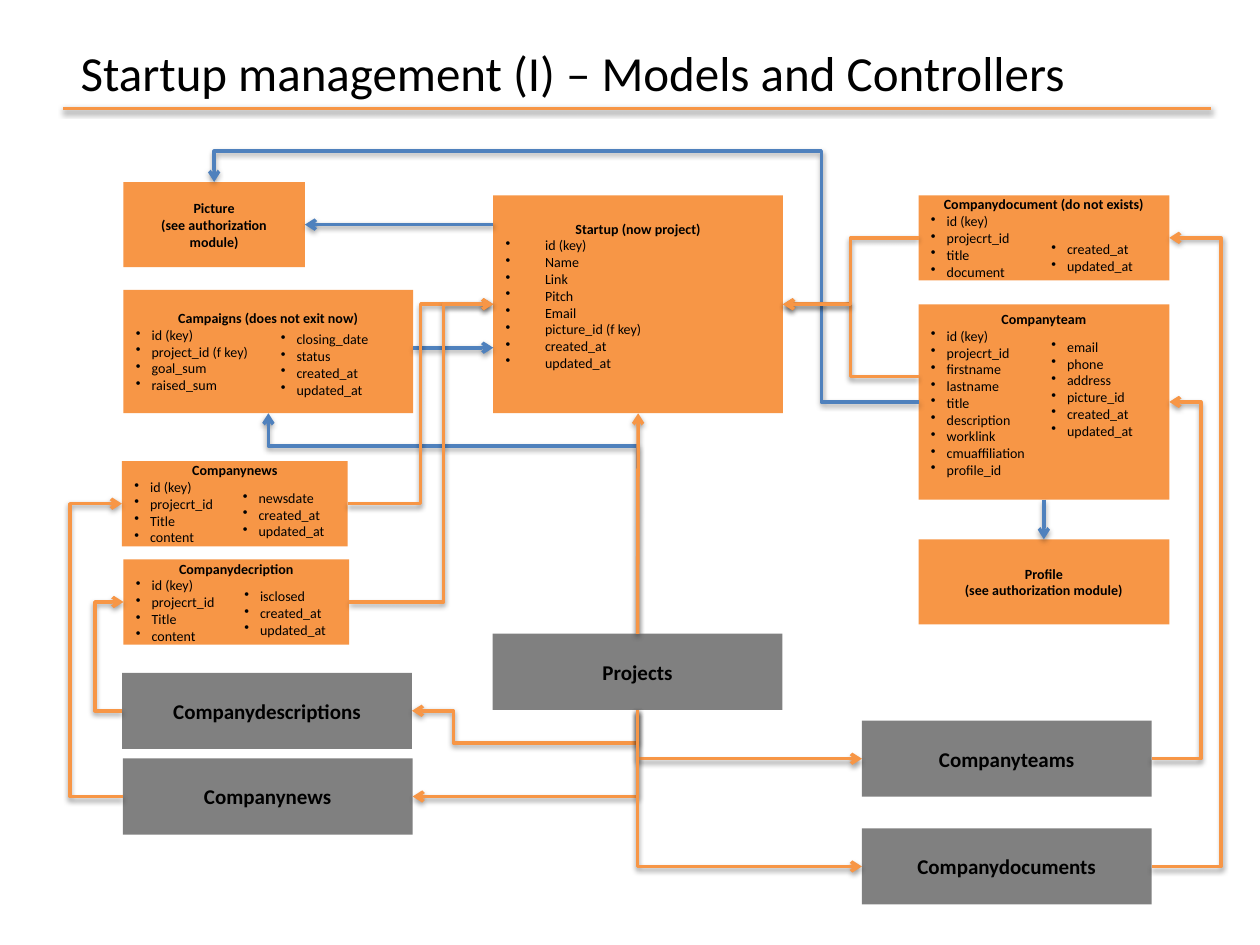
from typing import NamedTuple

from lxml import etree
from pptx import Presentation
from pptx.dml.color import RGBColor
from pptx.enum.shapes import MSO_CONNECTOR, MSO_SHAPE
from pptx.enum.text import MSO_ANCHOR, MSO_AUTO_SIZE, PP_ALIGN
from pptx.oxml.ns import qn
from pptx.util import Inches, Pt

STRAIGHT, ELBOW = MSO_CONNECTOR.STRAIGHT, MSO_CONNECTOR.ELBOW
RECTANGLE = MSO_SHAPE.RECTANGLE
TOP, MIDDLE = MSO_ANCHOR.TOP, MSO_ANCHOR.MIDDLE
LEFT, CENTER = PP_ALIGN.LEFT, PP_ALIGN.CENTER
TOP_SIDE, LEFT_SIDE, BOTTOM_SIDE, RIGHT_SIDE = range(4)

ORANGE = RGBColor(0xF7, 0x96, 0x46)
BLUE = RGBColor(0x4F, 0x81, 0xBD)
GRAY = RGBColor(0x80, 0x80, 0x80)
BLACK = RGBColor(0, 0, 0)

# The slide is a grid of 100 columns by 75 rows.
SLIDE_WIDTH, SLIDE_HEIGHT = Inches(10), Inches(7.5)
CELL = SLIDE_WIDTH / 100
TEXT_ROW = 1.36
HANGING = 1.25
STARTUP_HANGING = 3.13


class Box(NamedTuple):
    left: float
    top: float
    width: float
    height: float

    def side(self, index):
        """Middle of a side, numbered like connection sites."""
        share_x, share_y = ((0.5, 0), (0, 0.5), (0.5, 1), (1, 0.5))[index]
        return self.left + share_x * self.width, self.top + share_y * self.height


PICTURE = Box(9.8, 14.45, 14.4, 6.76)
CAMPAIGNS = Box(9.8, 23, 23, 9.8)
NEWS = Box(9.68, 36.6, 17.92, 6.76)
DESCRIPTION = Box(9.8, 44.4, 17.92, 6.76)
STARTUP = Box(39.15, 15.5, 23, 17.3)
DOCUMENT = Box(72.9, 15.5, 19.9, 6.76)
TEAM = Box(72.9, 24.15, 19.9, 15.5)
PROFILE = Box(72.9, 42.8, 19.9, 6.76)

PROJECTS = Box(39.1, 50.3, 23, 6.04)
DESCRIPTIONS_CONTROLLER = Box(9.7, 53.4, 23, 6.04)
NEWS_CONTROLLER = Box(9.75, 60.2, 23, 6.04)
TEAMS_CONTROLLER = Box(68.4, 57.2, 23, 6.04)
DOCUMENTS_CONTROLLER = Box(68.4, 65.75, 23, 6.04)


def grid(*lengths):
    return [round(length * CELL) for length in lengths]


def add_text(paragraph, text, size=8, bold=False, align=LEFT, hanging=0):
    run = paragraph.add_run()
    run.text = text
    run.font.name, run.font.size, run.font.bold = "Calibri", Pt(size), bold
    run.font.color.rgb = BLACK
    paragraph.alignment = align
    if hanging:
        properties = paragraph._p.get_or_add_pPr()
        indent, = grid(hanging)
        properties.set("marL", str(indent))
        properties.set("indent", str(-indent))
        etree.SubElement(properties, qn("a:buChar"), char="•")


def fill_frame(frame, headings=(), items=(), size=8, hanging=HANGING):
    frame.word_wrap = True
    lines = [(text, {"bold": True, "align": CENTER}) for text in headings]
    lines += [(text, {"hanging": hanging}) for text in items]
    for index, (text, style) in enumerate(lines):
        paragraph = frame.add_paragraph() if index else frame.paragraphs[0]
        add_text(paragraph, text, size=size, **style)


def add_box(slide, box, color, headings, items=(), anchor=MIDDLE, **style):
    shape = slide.shapes.add_shape(RECTANGLE, *grid(*box))
    shape.shadow.inherit = False
    shape.fill.solid()
    shape.fill.fore_color.rgb = color
    shape.line.fill.background()
    shape.text_frame.vertical_anchor = anchor
    fill_frame(shape.text_frame, headings, items, **style)
    return shape


def add_second_column(slide, box, items, share=0.48, drop=0.4, rows=1):
    """Place a list in the right part of a model box, some text rows down."""
    offset, down = share * box.width, drop + rows * TEXT_ROW
    column = slide.shapes.add_textbox(*grid(
        box.left + offset, box.top + down, box.width - offset,
        1 + len(items) * TEXT_ROW))
    fill_frame(column.text_frame, items=items)


def add_line(slide, start, end, color=ORANGE, kind=STRAIGHT, arrow=True):
    connector = slide.shapes.add_connector(kind, *grid(*start, *end))
    connector.line.color.rgb = color
    connector.line.width = Pt(2)
    if arrow:
        etree.SubElement(connector.line._get_or_add_ln(), qn("a:tailEnd"), type="arrow")
    effects = etree.SubElement(connector._element.spPr, qn("a:effectLst"))
    shadow = etree.SubElement(
        effects, qn("a:outerShdw"), blurRad=str(Pt(3.1)), dist=str(Pt(1.6)),
        dir="5400000", rotWithShape="0")
    shade = etree.SubElement(shadow, qn("a:srgbClr"), val="000000")
    etree.SubElement(shade, qn("a:alpha"), val="38000")
    return connector


def add_route(slide, start, end, turns=(), color=ORANGE, vertical=False):
    """Draw an elbow arrow; turns hold the x and y of its bends by turns."""
    connector = add_line(slide, start, end, color, ELBOW)
    properties = connector._element.spPr
    geometry = properties.find(qn("a:prstGeom"))
    geometry.set("prst", f"bentConnector{len(turns) + 2}")
    adjustments = geometry.find(qn("a:avLst"))
    for index, turn in enumerate(turns):
        axis = (index + vertical) % 2
        ratio = (turn - start[axis]) / (end[axis] - start[axis])
        etree.SubElement(adjustments, qn("a:gd"), name=f"adj{index + 1}",
                         fmla=f"val {round(ratio * 100000)}")
    if vertical:
        rightward, upward = end[0] > start[0], end[1] < start[1]
        width, height = connector.width, connector.height
        connector.left += (width - height) // 2
        connector.top += (height - width) // 2
        connector.width, connector.height = height, width
        transform = properties.find(qn("a:xfrm"))
        transform.set("rot", str((90 if rightward == upward else 270) * 60000))
        transform.set("flipH", str(int(rightward)))
        transform.set("flipV", str(int(upward)))


def add_title(slide, box):
    title = slide.shapes.title
    title.left, title.top, title.width, title.height = grid(*box)
    frame = title.text_frame
    frame.word_wrap, frame.auto_size = False, MSO_AUTO_SIZE.NONE
    frame.vertical_anchor = TOP
    add_text(frame.paragraphs[0], "Startup management (I) – Models and Controllers", size=28)
    add_line(slide, (5, 8.6), (96.1, 8.6), arrow=False)


def add_models(slide):
    """Place the model boxes and return those that straight arrows join."""
    stamps = ["created_at", "updated_at"]
    keys = ["id (key)", "projecrt_id"]
    startup = add_box(
        slide, STARTUP, ORANGE, ["Startup (now project)"],
        ["id (key)", "Name", "Link", "Pitch", "Email", "picture_id (f key)"] + stamps,
        hanging=STARTUP_HANGING)
    startup.text_frame.margin_bottom, = grid(0.5 + TEXT_ROW)
    picture = add_box(slide, PICTURE, ORANGE, ["Picture", "(see authorization module)"])
    add_box(slide, CAMPAIGNS, ORANGE, ["Campaigns (does not exit now)"],
            ["id (key)", "project_id (f key)", "goal_sum", "raised_sum"])
    add_second_column(slide, CAMPAIGNS, ["closing_date", "status"] + stamps, share=0.5, drop=1.4)
    for box, heading, extra in ((DESCRIPTION, "Companydecription", "isclosed"),
                                (NEWS, "Companynews", "newsdate")):
        add_box(slide, box, ORANGE, [heading], keys + ["Title", "content"])
        add_second_column(slide, box, [extra] + stamps)
    add_box(slide, DOCUMENT, ORANGE, ["Companydocument (do not exists)"],
            keys + ["title", "document"])
    add_second_column(slide, DOCUMENT, stamps, rows=2)
    team = add_box(
        slide, TEAM, ORANGE, ["Companyteam"],
        keys + ["firstname", "lastname", "title", "description", "worklink",
                "cmuaffiliation", "profile_id"], anchor=TOP)
    add_second_column(slide, TEAM, ["email", "phone", "address", "picture_id"] + stamps, drop=0.85)
    profile = add_box(slide, PROFILE, ORANGE, ["Profile", "(see authorization module)"])
    return startup, picture, team, profile


def add_controllers(slide):
    """Place the controller boxes and return the one for projects."""
    for box, name in ((DESCRIPTIONS_CONTROLLER, "Companydescriptions"),
                      (NEWS_CONTROLLER, "Companynews"),
                      (TEAMS_CONTROLLER, "Companyteams"),
                      (DOCUMENTS_CONTROLLER, "Companydocuments")):
        add_box(slide, box, GRAY, [name], size=12)
    return add_box(slide, PROJECTS, GRAY, ["Projects"], size=12)


def add_model_links(slide):
    add_line(slide, (CAMPAIGNS.side(RIGHT_SIDE)[0], 27.6), (STARTUP.left, 27.6), BLUE)
    add_route(slide, TEAM.side(LEFT_SIDE), PICTURE.side(TOP_SIDE), (65.2, 12), BLUE)
    for box, turn in ((NEWS, 33.4), (DESCRIPTION, 35.2)):
        add_route(slide, box.side(RIGHT_SIDE), STARTUP.side(LEFT_SIDE), [turn])
    for start in ((TEAM.left, 29.9), DOCUMENT.side(LEFT_SIDE)):
        add_route(slide, start, STARTUP.side(RIGHT_SIDE), [67.5])


def add_controller_links(slide):
    source = PROJECTS.side(BOTTOM_SIDE)
    add_route(slide, source, DESCRIPTIONS_CONTROLLER.side(RIGHT_SIDE), (59, 36), vertical=True)
    for box, side in ((NEWS_CONTROLLER, RIGHT_SIDE), (TEAMS_CONTROLLER, LEFT_SIDE),
                      (DOCUMENTS_CONTROLLER, LEFT_SIDE)):
        add_route(slide, source, box.side(side), vertical=True)
    for controller, model, side, turn in (
            (DESCRIPTIONS_CONTROLLER, DESCRIPTION, LEFT_SIDE, 7.5),
            (NEWS_CONTROLLER, NEWS, LEFT_SIDE, 5.6),
            (TEAMS_CONTROLLER, TEAM, RIGHT_SIDE, 95.3),
            (DOCUMENTS_CONTROLLER, DOCUMENT, RIGHT_SIDE, 96.9)):
        add_route(slide, controller.side(side), model.side(side), [turn])


def main():
    presentation = Presentation()
    presentation.slide_width, presentation.slide_height = SLIDE_WIDTH, SLIDE_HEIGHT
    slide = presentation.slides.add_slide(presentation.slide_layouts[5])
    add_title(slide, Box(5.4, 2.9, 82.2, 5.7))
    add_route(slide, PROJECTS.side(TOP_SIDE), CAMPAIGNS.side(BOTTOM_SIDE), [35.4], BLUE, True)
    startup, picture, team, profile = add_models(slide)
    projects = add_controllers(slide)
    upward = add_line(slide, PROJECTS.side(TOP_SIDE), STARTUP.side(BOTTOM_SIDE))
    upward.begin_connect(projects, TOP_SIDE)
    upward.end_connect(startup, BOTTOM_SIDE)
    downward = add_line(slide, TEAM.side(BOTTOM_SIDE), PROFILE.side(TOP_SIDE), BLUE)
    downward.begin_connect(team, BOTTOM_SIDE)
    downward.end_connect(profile, TOP_SIDE)
    to_picture = add_line(slide, (STARTUP.left, PICTURE.side(RIGHT_SIDE)[1]),
                          PICTURE.side(RIGHT_SIDE), BLUE)
    to_picture.end_connect(picture, RIGHT_SIDE)
    add_model_links(slide)
    add_controller_links(slide)
    presentation.save("out.pptx")


if __name__ == "__main__":
    main()
